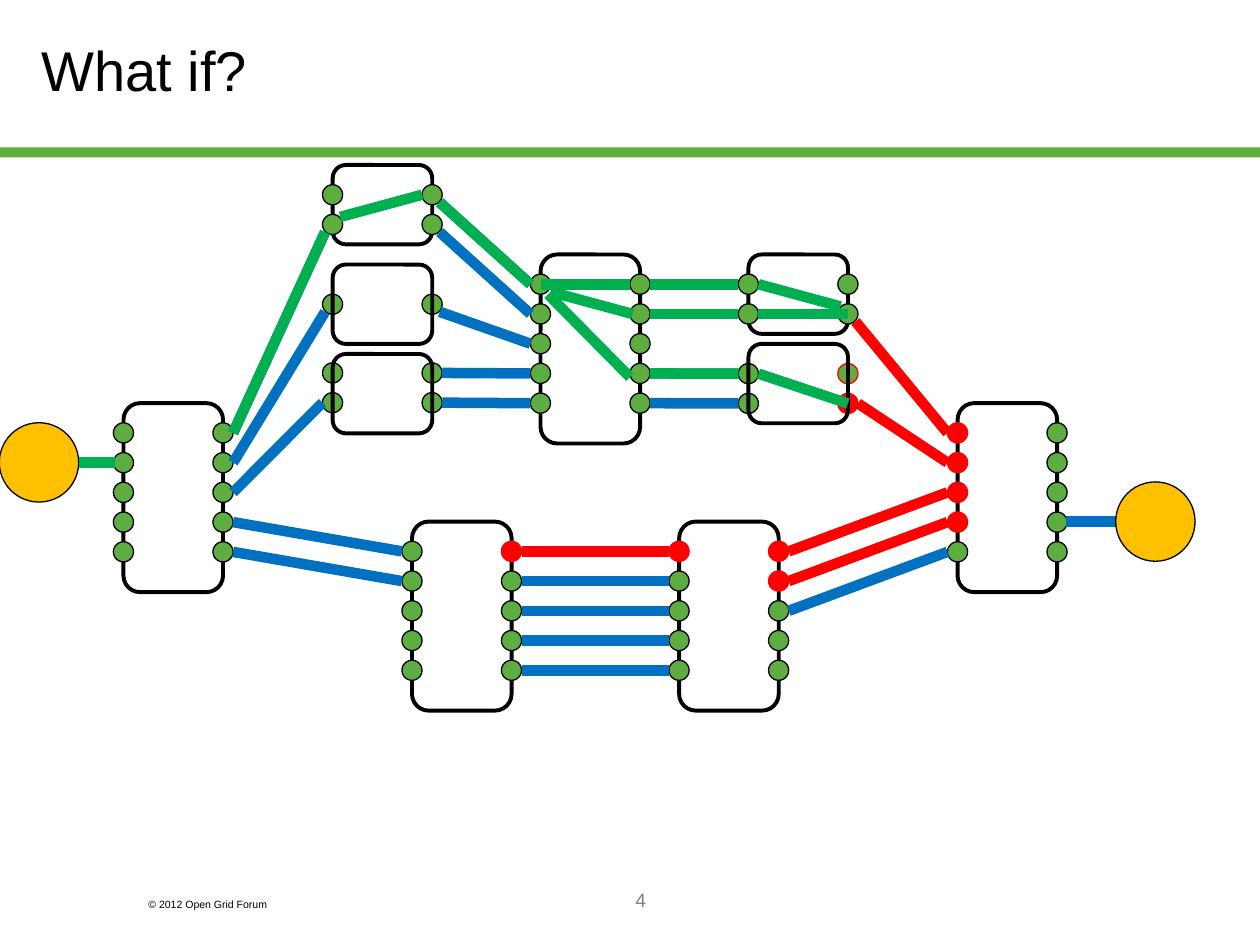
from dataclasses import dataclass
from typing import NamedTuple

from lxml import etree
from pptx import Presentation
from pptx import util as u
from pptx.dml.color import RGBColor
from pptx.enum import shapes, text
from pptx.oxml.ns import qn

BLACK = RGBColor(0x00, 0x00, 0x00)
GREY = RGBColor(0x80, 0x80, 0x80)
LEAF = RGBColor(0x5D, 0xAD, 0x41)
GREEN = RGBColor(0x00, 0xB0, 0x50)
BLUE = RGBColor(0x00, 0x70, 0xC0)
RED = RGBColor(0xFF, 0x00, 0x00)
AMBER = RGBColor(0xFF, 0xC0, 0x00)

PITCH = 1.18 / 5  # gap between neighbouring ports
BOX_W, TALL, SHORT = 0.79, 1.5, 0.63
PORT, HOST = 0.16, 0.63

# Offsets from a port's centre to where a link attaches
MID, E, W = (0, 0), (0.08, 0), (-0.08, 0)
NE, SE, SW, NW = (0.06, -0.06), (0.06, 0.06), (-0.06, 0.06), (-0.06, -0.06)


@dataclass(frozen=True)
class Switch:
    left: float
    top: float
    height: float = TALL
    ports: int = 5
    first: float = PITCH  # from the box top to the first port
    red: tuple = ()
    ringed: tuple = ()
    over_links: bool = False


class End(NamedTuple):
    switch: str
    side: str
    port: int
    offset: tuple


class Link(NamedTuple):
    start: End
    end: End
    color: RGBColor


SWITCHES = {
    "entry": Switch(0.98, 3.2),
    "top": Switch(2.64, 1.31, SHORT, 2),
    "middle": Switch(2.64, 2.1, SHORT, 1, SHORT / 2, over_links=True),
    "bottom": Switch(2.64, 2.81, SHORT, 2, 0.15, over_links=True),
    "core": Switch(4.29, 2.02),
    "upper": Switch(5.94, 2.02, SHORT, 2),
    "lower": Switch(5.94, 2.73, SHORT, 2, red=("R1",), ringed=("R0",),
                    over_links=True),
    "exit": Switch(7.6, 3.2, red=("L0", "L1", "L2", "L3")),
    "south_west": Switch(3.27, 4.14, red=("R0",)),
    "south_east": Switch(5.39, 4.14, red=("L0", "R0", "R1")),
}


def hop(a: str, i: int, b: str, j: int, color: RGBColor = BLUE,
        leave: tuple = E, arrive: tuple = W) -> Link:
    """Link from a right port of one switch to a left port of the next."""
    return Link(End(a, "R", i, leave), End(b, "L", j, arrive), color)


def cross(name: str, i: int, j: int, leave: tuple, arrive: tuple) -> Link:
    """Green link through a switch, from a left port to a right port."""
    return Link(End(name, "L", i, leave), End(name, "R", j, arrive), GREEN)


LINKS = [
    hop("entry", 0, "top", 1, arrive=SW),
    hop("entry", 1, "middle", 0, arrive=SW),
    hop("entry", 2, "bottom", 1),
    *[hop("entry", 3 + i, "south_west", i) for i in range(2)],
    hop("south_east", 2, "exit", 4),
    *[hop("south_east", i, "exit", i + 2, RED) for i in (1, 0)],
    hop("lower", 1, "exit", 1, RED),
    hop("upper", 1, "exit", 0, RED, leave=SE),
    *[hop("core", i, "upper", i) for i in range(2)],
    *[hop("core", 3 + i, "lower", i) for i in range(2)],
    *[hop("top", i, "core", i, leave=SE) for i in range(2)],
    hop("middle", 0, "core", 2, leave=SE),
    *[hop("bottom", i, "core", 3 + i) for i in range(2)],
    *[hop("south_west", i, "south_east", i, BLUE if i else RED)
      for i in range(5)],
]

GREEN_ROUTE = [
    hop("entry", 0, "top", 1, GREEN, arrive=SW),
    *[hop("core", i, "upper", i, GREEN) for i in range(2)],
    hop("core", 3, "lower", 0, GREEN),
    hop("top", 0, "core", 0, GREEN, leave=SE),
    cross("top", 1, 0, NE, W),
    cross("core", 0, 0, MID, W),
    cross("upper", 0, 1, E, NW),
    cross("core", 0, 1, (0.08, 0.06), (-0.06, 0)),
    cross("upper", 1, 1, E, MID),
    cross("core", 0, 3, (0.06, 0.08), (-0.08, 0.03)),
    cross("lower", 0, 1, E, MID),
]


def port_centre(name: str, side: str, port: int) -> tuple[float, float]:
    sw = SWITCHES[name]
    return (sw.left + (BOX_W if side == "R" else 0),
            sw.top + sw.first + port * PITCH)


def locate(end: End) -> tuple[float, float]:
    x, y = port_centre(end.switch, end.side, end.port)
    return x + end.offset[0], y + end.offset[1]


def add_shape(s, kind, left: float, top: float, width: float, height: float,
              fill=None, line=None, weight: float = 0.75):
    sp = s.shapes.add_shape(kind, u.Inches(left), u.Inches(top),
                            u.Inches(width), u.Inches(height))
    sp.shadow.inherit = False
    if fill is None:
        sp.fill.background()
    else:
        sp.fill.solid()
        sp.fill.fore_color.rgb = fill
    if line is None:
        sp.line.fill.background()
    else:
        sp.line.color.rgb = line
        sp.line.width = u.Pt(weight)
    return sp


def add_switch(s, sw: Switch) -> None:
    add_shape(s, shapes.MSO_SHAPE.ROUNDED_RECTANGLE, sw.left, sw.top,
              BOX_W, sw.height, line=BLACK, weight=2.25)


def add_circle(s, x: float, y: float, size: float, fill, line) -> None:
    add_shape(s, shapes.MSO_SHAPE.OVAL, x - size / 2, y - size / 2,
              size, size, fill, line)


def add_ports(s, name: str, sw: Switch) -> None:
    for side in "RL":
        for i in range(sw.ports):
            key = f"{side}{i}"
            fill = RED if key in sw.red else LEAF
            line = RED if key in sw.red + sw.ringed else BLACK
            add_circle(s, *port_centre(name, side, i), PORT, fill, line)


def add_line(s, start: tuple, end: tuple, color: RGBColor) -> None:
    c = s.shapes.add_connector(shapes.MSO_CONNECTOR.STRAIGHT,
                               *[u.Inches(v) for v in (*start, *end)])
    c.line.color.rgb = color
    c.line.width = u.Pt(6)
    etree.SubElement(c._element.spPr, qn("a:effectLst"))


def set_text(sp, words: str, size: float, color: RGBColor, align) -> None:
    tf = sp.text_frame
    tf.word_wrap = True
    tf.text = words
    p = tf.paragraphs[0]
    p.alignment = align
    p.font.size = u.Pt(size)
    p.font.name = "Arial"
    p.font.color.rgb = color


def add_label(s, left, top, width, height, words, size, color, align) -> None:
    box = s.shapes.add_textbox(u.Inches(left), u.Inches(top),
                               u.Inches(width), u.Inches(height))
    set_text(box, words, size, color, align)


def main() -> None:
    prs = Presentation()
    prs.slide_width, prs.slide_height = u.Inches(10), u.Inches(7.5)
    s = prs.slides.add_slide(prs.slide_layouts[5])

    # Title, rule and footer
    add_shape(s, shapes.MSO_SHAPE.RECTANGLE, 0, 1.17, 10, 0.08, LEAF)
    title = s.shapes.title
    title.left, title.top = u.Inches(0.23), u.Inches(0)
    title.width, title.height = u.Inches(8.5), u.Inches(1.09)
    set_text(title, "What if?", 32, BLACK, text.PP_ALIGN.LEFT)
    title.text_frame.vertical_anchor = text.MSO_ANCHOR.MIDDLE
    add_label(s, 1.08, 7.08, 1.5, 0.2, "© 2012 Open Grid Forum", 6, BLACK,
              text.PP_ALIGN.LEFT)
    add_label(s, 2.17, 7, 5.83, 0.5, "4", 11, GREY, text.PP_ALIGN.CENTER)

    # Switches and their ports
    for sw in SWITCHES.values():
        if not sw.over_links:
            add_switch(s, sw)
    for name, sw in SWITCHES.items():
        add_ports(s, name, sw)

    # Links and hosts
    for link in LINKS:
        add_line(s, locate(link.start), locate(link.end), link.color)
    add_line(s, (0.2, 3.67), (0.91, 3.67), BLUE)
    add_line(s, (8.46, 4.14), (9.17, 4.14), BLUE)
    for x, y in ((9.17, 4.14), (0.31, 3.67)):
        add_circle(s, x, y, HOST, AMBER, BLACK)
    for sw in SWITCHES.values():
        if sw.over_links:
            add_switch(s, sw)

    # Green route on top
    add_line(s, (0.63, 3.67), (0.91, 3.67), GREEN)
    for link in GREEN_ROUTE:
        add_line(s, locate(link.start), locate(link.end), link.color)

    prs.save("out.pptx")


if __name__ == "__main__":
    main()
